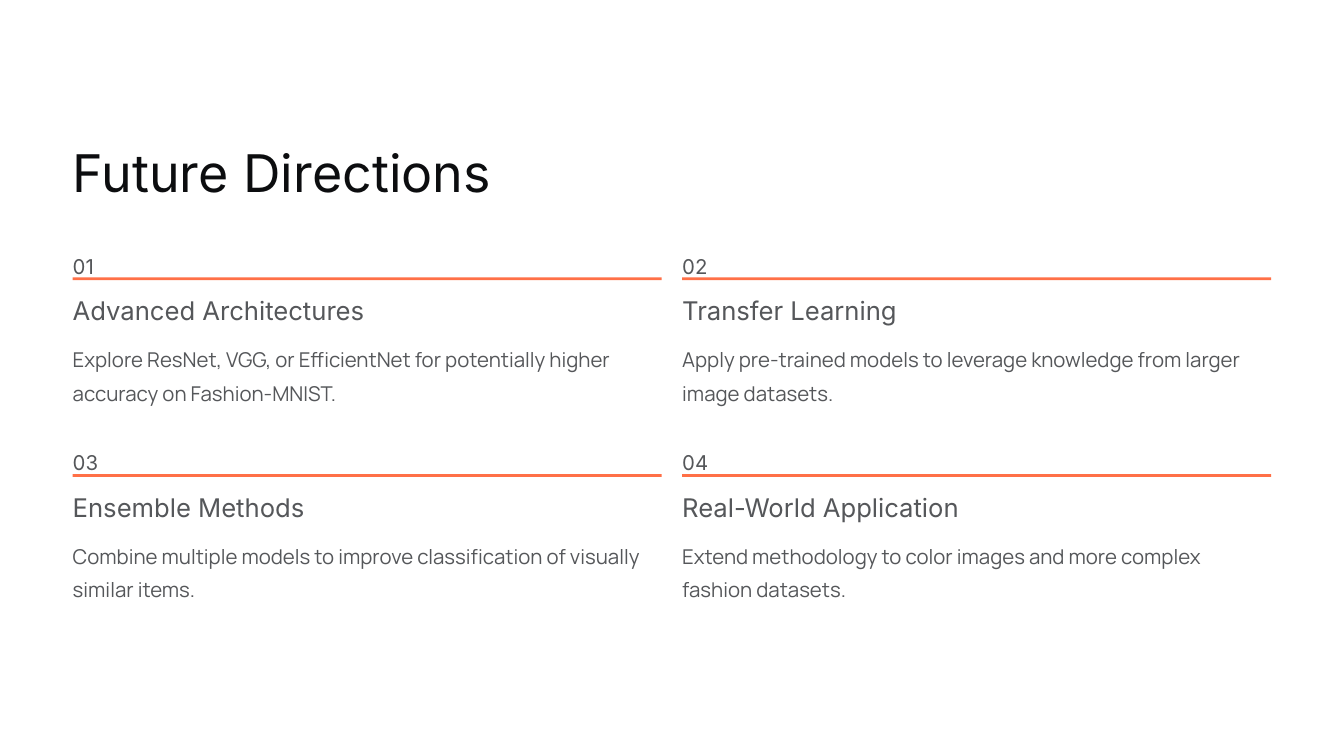
from pptx import Presentation
from pptx.dml.color import RGBColor
from pptx.enum.shapes import MSO_SHAPE
from pptx.enum.text import PP_ALIGN
from pptx.util import Cm, Pt

RECT = MSO_SHAPE.RECTANGLE
LEFT_ALIGN = PP_ALIGN.LEFT

WHITE, INK, GRAY, ORANGE = "FFFFFF", "0C0D0F", "55575A", "FF7047"
HEADING_FONT, BODY_FONT = "Inter", "Manrope"

SLIDE_WIDTH, SLIDE_HEIGHT = 40.64, 22.86
LEFT, TOP = 2.2, 7.41
COLUMN_STEP, ROW_STEP = 18.43, 5.95
COLUMN_WIDTH = 17.81

DIRECTIONS = [
    ("Advanced Architectures", 8.97,
     "Explore ResNet, VGG, or EfficientNet for potentially higher accuracy on Fashion-MNIST."),
    ("Transfer Learning", 7.87,
     "Apply pre-trained models to leverage knowledge from larger image datasets."),
    ("Ensemble Methods", 7.87,
     "Combine multiple models to improve classification of visually similar items."),
    ("Real-World Application", 8.51,
     "Extend methodology to color images and more complex fashion datasets."),
]


def color(value):
    return RGBColor.from_string(value)


def add_text(s, text, x, y, w, h, size, spacing, font=HEADING_FONT, fill=GRAY, wrap=False):
    tf = s.shapes.add_textbox(Cm(x), Cm(y), Cm(w), Cm(h)).text_frame
    tf.margin_left = tf.margin_right = tf.margin_top = tf.margin_bottom = 0
    tf.word_wrap = wrap
    p = tf.paragraphs[0]
    p.text = text
    p.alignment = LEFT_ALIGN
    p.line_spacing = Pt(spacing)
    r = p.runs[0]
    r.font.name = font
    r.font.size = Pt(size)
    r.font.color.rgb = color(fill)


def add_rect(s, x, y, w, h, fill):
    sp = s.shapes.add_shape(RECT, Cm(x), Cm(y), Cm(w), Cm(h))
    sp.shadow.inherit = False
    sp.fill.solid()
    sp.fill.fore_color.rgb = color(fill)
    sp.line.fill.background()


def add_direction(s, index, title, title_width, body):
    row, column = divmod(index, 2)
    x = LEFT + column * COLUMN_STEP
    y = TOP + row * ROW_STEP
    add_text(s, f"{index + 1:02}", x, y, 0.9, 0.79, 17.5, 28.5)
    add_rect(s, x, y + 0.98, COLUMN_WIDTH, 0.08, ORANGE)
    add_text(s, title, x, y + 1.48, title_width, 0.99, 22, 27.5)
    add_text(s, body, x, y + 2.83, COLUMN_WIDTH, 2.01, 17.5, 28.5, font=BODY_FONT, wrap=True)


def main():
    prs = Presentation()
    prs.slide_width, prs.slide_height = Cm(SLIDE_WIDTH), Cm(SLIDE_HEIGHT)
    s = prs.slides.add_slide(prs.slide_layouts[6])
    add_rect(s, 0, 0, SLIDE_WIDTH, SLIDE_HEIGHT, WHITE)
    add_text(s, "Future Directions", LEFT, 4.19, 15.75, 1.98, 44.5, 55.5, fill=INK)
    for index, direction in enumerate(DIRECTIONS):
        add_direction(s, index, *direction)
    prs.save("out.pptx")


if __name__ == "__main__":
    main()
